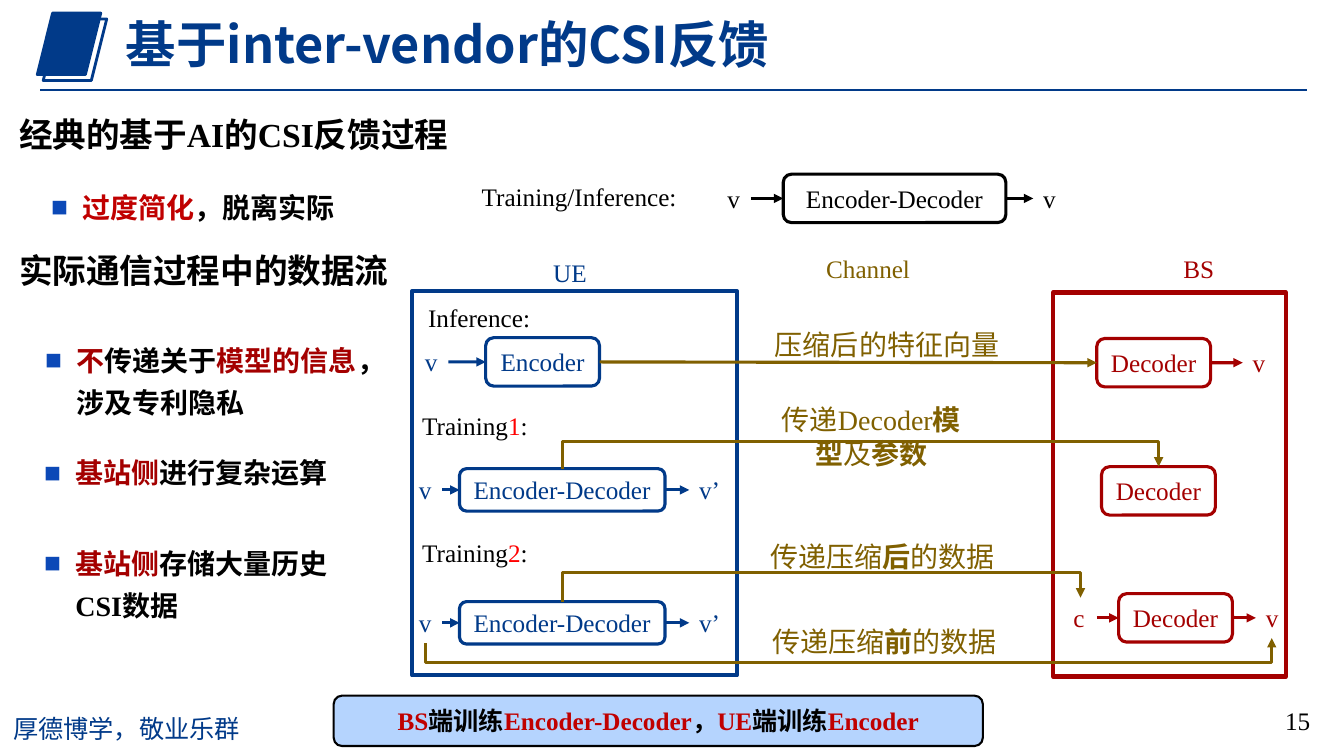
from lxml import etree
from pptx import Presentation
from pptx.dml.color import RGBColor
from pptx.enum.shapes import MSO_CONNECTOR, MSO_SHAPE
from pptx.enum.text import MSO_ANCHOR, MSO_AUTO_SIZE, PP_ALIGN
from pptx.oxml.ns import qn
from pptx.util import Cm, Pt

STRAIGHT, ELBOW = MSO_CONNECTOR.STRAIGHT, MSO_CONNECTOR.ELBOW
RECTANGLE, ROUNDED = MSO_SHAPE.RECTANGLE, MSO_SHAPE.ROUNDED_RECTANGLE
PARALLELOGRAM = MSO_SHAPE.PARALLELOGRAM
TOP, MIDDLE = MSO_ANCHOR.TOP, MSO_ANCHOR.MIDDLE
LEFT, CENTER, RIGHT = PP_ALIGN.LEFT, PP_ALIGN.CENTER, PP_ALIGN.RIGHT
GROW, FIXED = MSO_AUTO_SIZE.SHAPE_TO_FIT_TEXT, MSO_AUTO_SIZE.NONE

CHINESE, SERIF = "Noto Sans CJK SC", "Times New Roman"
BLACK, BLUE, DARK_RED, GOLD = "000000", "013A89", "A40000", "806000"
RED, BRIGHT_RED, PALE_BLUE, BULLET_BLUE = "C00000", "FF0000", "B5D4FE", "0C49B7"
LEFT_SIDE, RIGHT_SIDE = 1, 3


def color(hex_string):
    return RGBColor.from_string(hex_string)


def set_attributes(target, values):
    for name, value in values.items():
        setattr(target, name, value)


def write_runs(paragraph, runs, size=18, font=SERIF):
    for text, hex_string, bold in runs:
        run = paragraph.add_run()
        run.text = text
        run.font.color.rgb = color(hex_string)
        set_attributes(run.font, {"name": font, "size": Pt(size), "bold": bold})
        properties = run.font._element
        etree.SubElement(properties, qn("a:ea"), typeface=CHINESE)


def add_text(slide, left, top, width, height, runs, size=18, font=SERIF,
             align=LEFT, wrap=True, anchor=TOP, auto_size=GROW):
    box = slide.shapes.add_textbox(Cm(left), Cm(top), Cm(width), Cm(height))
    set_attributes(box.text_frame, {
        "word_wrap": wrap, "vertical_anchor": anchor, "auto_size": auto_size})
    paragraph = box.text_frame.paragraphs[0]
    paragraph.alignment = align
    write_runs(paragraph, runs, size, font)
    return paragraph


def add_bullet(slide, left, top, width, height, runs):
    paragraph = add_text(slide, left, top, width, height, [])
    properties = paragraph._p.get_or_add_pPr()
    properties.set("marL", str(Cm(1.6)))
    properties.set("indent", str(Cm(-0.79)))
    set_attributes(paragraph, {"line_spacing": 1.25, "space_after": Pt(6)})
    bullet_color = etree.SubElement(properties, qn("a:buClr"))
    etree.SubElement(bullet_color, qn("a:srgbClr"), val=BULLET_BLUE)
    etree.SubElement(properties, qn("a:buFont"), typeface=SERIF)
    etree.SubElement(properties, qn("a:buChar"), char="■")
    write_runs(paragraph, runs, 20)


def add_block(slide, kind, left, top, width, height, line, weight, fill=None, runs=()):
    shape = slide.shapes.add_shape(kind, Cm(left), Cm(top), Cm(width), Cm(height))
    shape.shadow.inherit = False
    if fill:
        shape.fill.solid()
        shape.fill.fore_color.rgb = color(fill)
    else:
        shape.fill.background()
    shape.line.color.rgb = color(line)
    shape.line.width = Pt(weight)
    set_attributes(shape.text_frame, {"word_wrap": True, "vertical_anchor": MIDDLE})
    paragraph = shape.text_frame.paragraphs[0]
    paragraph.alignment = CENTER
    write_runs(paragraph, runs)
    return shape


def add_line(slide, start, end, line, weight=2.25, kind=STRAIGHT, arrow=True):
    points = [Cm(value) for value in (*start, *end)]
    connector = slide.shapes.add_connector(kind, *points)
    connector.line.color.rgb = color(line)
    connector.line.width = Pt(weight)
    properties = connector._element.spPr
    if arrow:
        etree.SubElement(properties.find(qn("a:ln")), qn("a:tailEnd"), type="triangle")
    etree.SubElement(properties, qn("a:effectLst"))
    return connector


def add_detour(slide, start, end, lane):
    rise, run = start[1] - end[1], end[0] - start[0]
    middle_x, middle_y = (start[0] + end[0]) / 2, (start[1] + end[1]) / 2
    connector = add_line(slide, (middle_x + rise / 2, middle_y + run / 2),
                         (middle_x - rise / 2, middle_y - run / 2), GOLD, kind=ELBOW)
    properties = connector._element.spPr
    properties.find(qn("a:xfrm")).set("rot", "5400000")
    geometry = properties.find(qn("a:prstGeom"))
    adjustments = geometry.find(qn("a:avLst"))
    if adjustments is None:
        adjustments = etree.SubElement(geometry, qn("a:avLst"))
    share = round((start[1] - lane) / rise * 100000)
    etree.SubElement(adjustments, qn("a:gd"), name="adj1", fmla=f"val {share}")


def add_symbol(slide, symbol, left, middle, line):
    width = 0.64 + 0.2 * len(symbol)
    add_text(slide, left, middle - 0.51, width, 1.02, [(symbol, line, False)], wrap=False)


def add_stage(slide, name, left, top, width, height, line,
              source=None, source_x=0, result=None, result_x=0):
    block = add_block(slide, ROUNDED, left, top, width, height, line, 2.25,
                      runs=[(name, line, False)])
    middle = top + height / 2
    if source:
        add_symbol(slide, source, source_x - 0.84, middle, line)
        arrow = add_line(slide, (source_x, middle), (left, middle), line)
        arrow.end_connect(block, LEFT_SIDE)
    if result:
        add_symbol(slide, result, result_x, middle, line)
        arrow = add_line(slide, (left + width, middle), (result_x, middle), line)
        arrow.begin_connect(block, RIGHT_SIDE)
    return block


def add_header(slide):
    add_block(slide, PARALLELOGRAM, 0.94, 0.33, 1.6, 1.55, BLUE, 2, BLUE)
    add_block(slide, PARALLELOGRAM, 1.09, 0.48, 1.6, 1.55, BLUE, 2)
    add_line(slide, (1.02, 2.26), (32.94, 2.26), BLUE, 1.5, arrow=False)
    title = slide.shapes.title
    set_attributes(title, {"left": Cm(2.92), "top": Cm(0.38),
                           "width": Cm(21.87), "height": Cm(1.7)})
    set_attributes(title.text_frame, {
        "word_wrap": True, "vertical_anchor": TOP, "auto_size": FIXED})
    paragraph = title.text_frame.paragraphs[0]
    set_attributes(paragraph, {
        "alignment": LEFT, "line_spacing": 0.9, "space_before": Pt(0)})
    write_runs(paragraph, [("基于inter-vendor的CSI反馈", BLUE, True)], 36, CHINESE)


def add_points(slide):
    for text, top, width in (("经典的基于AI的CSI反馈过程", 2.74, 12.42),
                             ("实际通信过程中的数据流", 6.17, 9.96)):
        add_text(slide, 0.23, top, width, 1.27, [(text, BLACK, True)], 24)
    add_bullet(slide, 0.23, 4.47, 11.25, 1.22,
               [("过度简化", RED, True), ("，脱离实际", BLACK, True)])
    add_bullet(slide, 0.08, 8.31, 9.65, 2.29,
               [("不", DARK_RED, True), ("传递关于", BLACK, True),
                ("模型的信息", DARK_RED, True), ("，涉及专利隐私", BLACK, True)])
    for text, top, height in (("进行复杂运算", 11.15, 1.22),
                              ("存储大量历史CSI数据", 13.44, 2.29)):
        add_bullet(slide, 0.05, top, 9.07, height,
                   [("基站侧", DARK_RED, True), (text, BLACK, True)])


def add_flow(slide):
    add_block(slide, RECTANGLE, 10.39, 7.34, 8.18, 9.68, BLUE, 3)
    add_block(slide, RECTANGLE, 26.54, 7.37, 5.87, 9.68, DARK_RED, 3)
    for text, left, top, width, line in (
            ("Training/Inference:", 11.89, 4.45, 5.49, BLACK),
            ("UE", 13.69, 6.35, 1.37, BLUE), ("BS", 29.57, 6.27, 1.3, DARK_RED),
            ("Channel", 20.57, 6.25, 2.64, GOLD), ("Inference:", 10.54, 7.49, 3.4, BLACK)):
        add_text(slide, left, top, width, 1.02, [(text, line, False)], wrap=False)

    add_stage(slide, "Encoder-Decoder", 19.74, 4.39, 5.61, 1.22, BLACK, "v", 18.92, "v", 26.04)
    encoder = add_stage(slide, "Encoder", 12.24, 8.51, 2.87, 1.22, BLUE, "v", 11.3)
    decoder = add_stage(slide, "Decoder", 27.64, 8.53, 2.87, 1.22, DARK_RED,
                        result="v", result_x=31.32)
    feature_arrow = add_line(slide, (15.11, 9.12), (27.64, 9.14), GOLD)
    feature_arrow.begin_connect(encoder, RIGHT_SIDE)
    feature_arrow.end_connect(decoder, LEFT_SIDE)
    for number, label_top, stage_top in (("1", 10.21, 11.81), ("2", 13.41, 15.16)):
        add_text(slide, 10.39, label_top, 3.4, 1.02,
                 [("Training", BLACK, False), (number, BRIGHT_RED, False), (":", BLACK, False)])
        add_stage(slide, "Encoder-Decoder", 11.58, stage_top, 5.18, 1.07, BLUE,
                  "v", 11.15, "v’", 17.37)
    add_stage(slide, "Decoder", 27.76, 11.76, 2.87, 1.22, DARK_RED)
    add_stage(slide, "Decoder", 28.19, 14.96, 2.87, 1.22, DARK_RED, "c", 27.64, "v", 31.65)

    add_detour(slide, (14.17, 11.81), (29.2, 11.76), 11.13)
    add_detour(slide, (14.17, 15.16), (27.23, 15.06), 14.43)
    add_detour(slide, (10.72, 16.21), (32.05, 16.08), 16.69)
    add_text(slide, 19.28, 8.13, 6.25, 1.12, [("压缩后的特征向量", GOLD, False)], 20)
    add_text(slide, 19.18, 10.03, 5.56, 1.96,
             [("传递Decoder", GOLD, False), ("模型", GOLD, True),
              ("及", GOLD, False), ("参数", GOLD, True)], 20, align=CENTER)
    for moment, left, top in (("后", 19, 13.46), ("前", 19.05, 15.62)):
        add_text(slide, left, top, 6.5, 1.12,
                 [("传递压缩", GOLD, False), (moment, GOLD, True),
                  ("的数据", GOLD, False)], 20, align=CENTER)


def add_footer(slide):
    summary = [("BS", RED, True), ("端训练", BLACK, True), ("Encoder-Decoder", RED, True),
               ("，", BLACK, True), ("UE", RED, True), ("端训练", BLACK, True),
               ("Encoder", RED, True)]
    add_block(slide, ROUNDED, 8.41, 17.53, 16.36, 1.27, BLACK, 1.5, PALE_BLUE, summary)
    add_text(slide, 0.08, 17.86, 6.32, 1.02, [("厚德博学，敬业乐群", BLUE, False)], font=CHINESE)
    add_text(slide, 25.65, 17.65, 7.62, 1.02, [("15", BLACK, False)],
             align=RIGHT, anchor=MIDDLE, auto_size=FIXED)


def main():
    presentation = Presentation()
    set_attributes(presentation, {"slide_width": Cm(33.87), "slide_height": Cm(19.05)})
    slide = presentation.slides.add_slide(presentation.slide_layouts[5])
    add_header(slide)
    add_points(slide)
    add_flow(slide)
    add_footer(slide)
    presentation.save("out.pptx")


if __name__ == "__main__":
    main()
